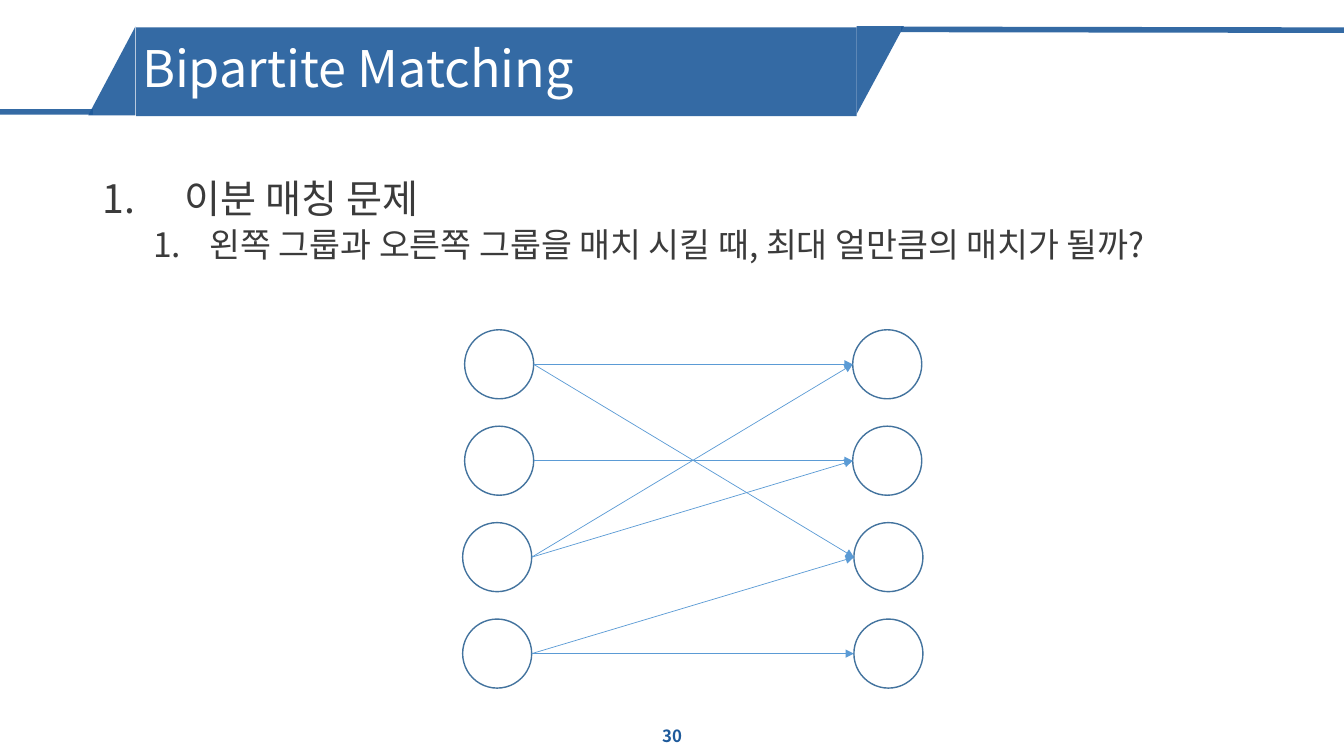
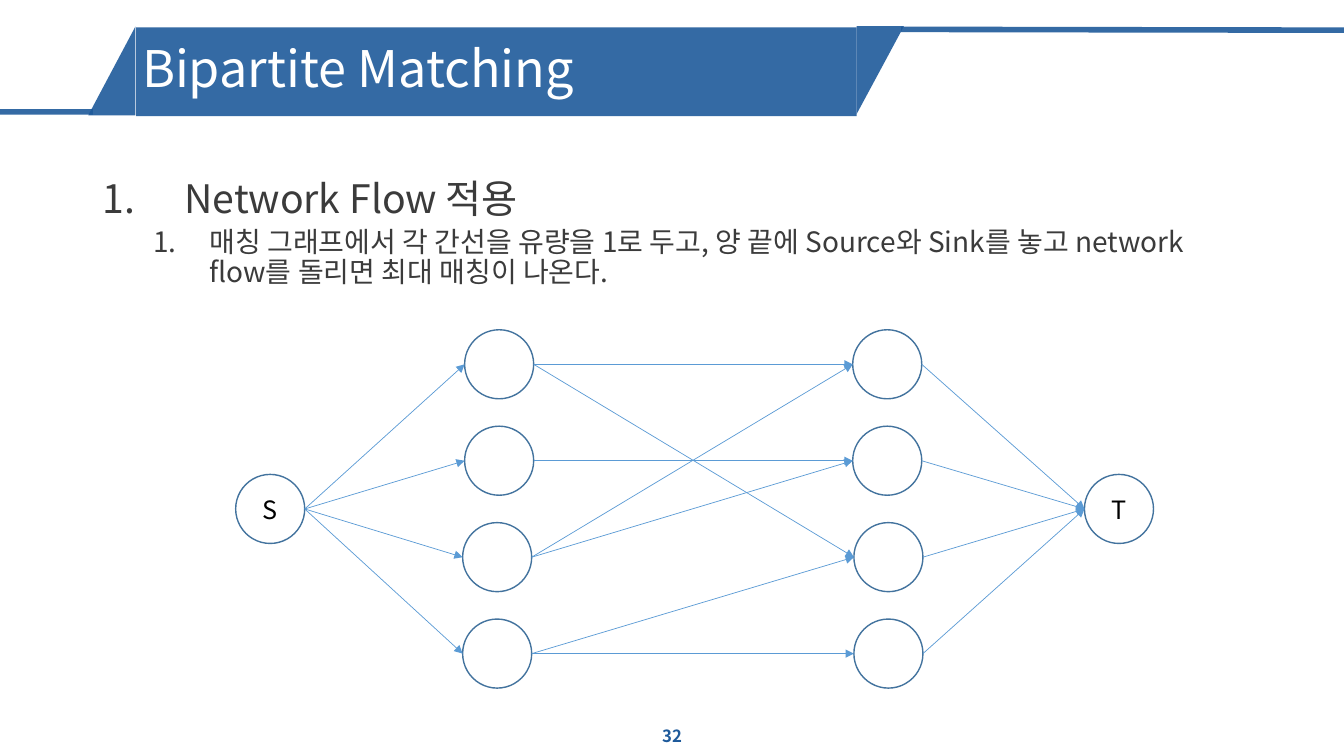
from dataclasses import dataclass

from lxml import etree
from pptx import Presentation
from pptx import util as u
from pptx.dml.color import RGBColor
from pptx.enum import shapes, text
from pptx.oxml import ns


@dataclass(frozen=True)
class Theme:
    """Colours, font and type sizes of the whole deck."""
    band: str = "1E5A9B"
    band_opacity: int = 90000
    paper: str = "FFFFFF"
    body: str = "3B3B3B"
    label: str = "000000"
    node_line: str = "43739E"
    edge: str = "5B9BD5"
    font: str = "Noto Sans CJK KR"
    title_size: int = 36
    topic_size: int = 28
    label_size: int = 18
    page_size: int = 12


THEME = Theme()
DIAMETER = 1.74
TOP_ROW, ROW_STEP = 8.31, 2.43
LEFT_COLUMN = (11.71, 11.71, 11.66, 11.66)
RIGHT_COLUMN = (21.49, 21.49, 21.52, 21.52)
SOURCE_X, SINK_X, MIDDLE_ROW = 5.94, 27.33, 1.5
MATCHES = ((0, 0), (0, 2), (1, 1), (3, 3), (3, 2), (2, 1), (2, 0))


def add_xml(parent, tag, **attributes):
    """Append a DrawingML child element."""
    return etree.SubElement(parent, ns.qn(tag), **attributes)


def make_translucent(holder):
    """Give the solid colour inside an element the band's opacity."""
    colour = next(holder.iter(ns.qn("a:srgbClr")))
    add_xml(colour, "a:alpha", val=str(THEME.band_opacity))


def style_runs(paragraph, size, colour, bold=False):
    """Format every run of a paragraph, Latin and Korean alike."""
    for run in paragraph.runs:
        run.font.size = u.Pt(size)
        run.font.bold = bold
        run.font.color.rgb = RGBColor.from_string(colour)
        run.font.name = THEME.font
        add_xml(run.font._element, "a:ea", typeface=THEME.font)


def add_line(canvas, start, end, colour, width):
    """Draw a straight line without shadow."""
    line = canvas.add_connector(shapes.MSO_CONNECTOR.STRAIGHT,
                                *(u.Cm(value) for value in (*start, *end)))
    line.line.color.rgb = RGBColor.from_string(colour)
    line.line.width = u.Pt(width)
    add_xml(line.element.spPr, "a:effectLst")
    return line


def add_band_piece(canvas, preset, box, rotation=0):
    """Draw one translucent piece of the title band."""
    piece = canvas.add_shape(preset, *map(u.Cm, box))
    piece.rotation = rotation
    piece.shadow.inherit = False
    piece.fill.solid()
    piece.fill.fore_color.rgb = RGBColor.from_string(THEME.band)
    piece.line.fill.background()
    make_translucent(piece.element.spPr)
    return piece


def add_band_rule(canvas, start, end):
    """Draw one of the rules that run from the band to the slide edge."""
    rule = add_line(canvas, start, end, THEME.band, 4)
    make_translucent(rule.element.spPr)
    return rule


def move_band_to_layout(slide):
    """Draw the title band and hand it to the layout all slides use."""
    layout, canvas = slide.slide_layout, slide.shapes
    for placeholder in list(layout.placeholders):
        layout.shapes.element.remove(placeholder.element)
    triangle = shapes.MSO_SHAPE.RIGHT_TRIANGLE
    band = (
        add_band_piece(canvas, triangle, (21.08, 1.17, 2.21, 1.19), 90),
        add_band_rule(canvas, (2.34, 2.82), (0, 2.82)),
        add_band_piece(canvas, triangle, (1.7, 1.19, 2.24, 1.19), 270),
        add_band_rule(canvas, (33.87, 0.76), (22.71, 0.74)),
        add_band_piece(canvas, shapes.MSO_SHAPE.RECTANGLE,
                       (3.43, 0.69, 18.16, 2.24)),
    )
    for piece in band:
        layout.shapes.element.append(piece.element)


def add_text_frame(slide, box, anchor):
    """Add a wrapping text box and return its frame."""
    frame = slide.shapes.add_textbox(*map(u.Cm, box)).text_frame
    frame.word_wrap = True
    frame.vertical_anchor = anchor
    return frame


def set_spacing(paragraph, before):
    """Apply the tight line spacing of titles and body text."""
    paragraph.line_spacing = 0.9
    paragraph.space_before = u.Pt(before)


def add_title(slide, title):
    """Write the title on the band."""
    frame = add_text_frame(slide, (3.33, 0.76, 18.16, 2.06),
                           text.MSO_ANCHOR.MIDDLE)
    frame.text = title
    set_spacing(frame.paragraphs[0], 10)
    style_runs(frame.paragraphs[0], THEME.title_size, THEME.paper)


def add_page_number(slide, number):
    """Write the page number at the foot."""
    frame = add_text_frame(slide, (13.13, 18.03, 7.62, 1.02),
                           text.MSO_ANCHOR.MIDDLE)
    frame.text = str(number)
    frame.paragraphs[0].alignment = text.PP_ALIGN.CENTER
    style_runs(frame.paragraphs[0], THEME.page_size, THEME.band, bold=True)


def fill_numbered(paragraph, wording, level, size):
    """Write one numbered paragraph of the outline."""
    margin, hanging, before = ((2.06, 2.06, 10), (2.69, 1.42, 5))[level]
    paragraph.text = wording
    paragraph.level = level
    set_spacing(paragraph, before)
    properties = paragraph._p.get_or_add_pPr()
    properties.set("marL", str(u.Cm(margin)))
    properties.set("indent", str(-u.Cm(hanging)))
    add_xml(properties, "a:buAutoNum", type="arabicPeriod")
    style_runs(paragraph, size, THEME.body)


def add_outline(slide, topic, detail, detail_size):
    """Write a topic and the detail below it."""
    frame = add_text_frame(slide, (2.34, 4.39, 29.06, 12.62),
                           text.MSO_ANCHOR.TOP)
    fill_numbered(frame.paragraphs[0], topic, 0, THEME.topic_size)
    fill_numbered(frame.add_paragraph(), detail, 1, detail_size)


def add_node(canvas, left, row, label=""):
    """Draw a graph node; return its entry and exit points."""
    top = TOP_ROW + row * ROW_STEP
    node = canvas.add_shape(shapes.MSO_SHAPE.OVAL, u.Cm(left), u.Cm(top),
                            u.Cm(DIAMETER), u.Cm(DIAMETER))
    node.shadow.inherit = False
    node.fill.solid()
    node.fill.fore_color.rgb = RGBColor.from_string(THEME.paper)
    node.line.color.rgb = RGBColor.from_string(THEME.node_line)
    node.line.width = u.Pt(1)
    if label:
        node.text_frame.text = label
        node.text_frame.vertical_anchor = text.MSO_ANCHOR.MIDDLE
        node.text_frame.paragraphs[0].alignment = text.PP_ALIGN.CENTER
        style_runs(node.text_frame.paragraphs[0], THEME.label_size,
                   THEME.label)
    middle = top + DIAMETER / 2
    return (left, middle), (left + DIAMETER, middle)


def add_edge(canvas, origin, target):
    """Draw an arrow from one node's exit to another's entry."""
    edge = add_line(canvas, origin[1], target[0], THEME.edge, 0.5)
    add_xml(edge.line._get_or_add_ln(), "a:tailEnd", type="triangle")


def add_matching(slide):
    """Draw the bipartite graph as a group; return both node columns."""
    canvas = slide.shapes.add_group_shape().shapes
    left_nodes, right_nodes = (
        [add_node(canvas, left, row) for row, left in enumerate(column)]
        for column in (LEFT_COLUMN, RIGHT_COLUMN))
    for origin, target in MATCHES:
        add_edge(canvas, left_nodes[origin], right_nodes[target])
    return left_nodes, right_nodes


def add_flow_ends(slide, left_nodes, right_nodes):
    """Add the source and the sink and join them to the graph."""
    source = add_node(slide.shapes, SOURCE_X, MIDDLE_ROW, "S")
    for node in left_nodes:
        add_edge(slide.shapes, source, node)
    sink = add_node(slide.shapes, SINK_X, MIDDLE_ROW, "T")
    for node in right_nodes:
        add_edge(slide.shapes, node, sink)


def add_matching_slide(deck, page, topic, detail, detail_size):
    """Add a slide with title, outline and bipartite graph."""
    slide = deck.slides.add_slide(deck.slide_layouts[6])
    add_page_number(slide, page)
    add_title(slide, "Bipartite Matching")
    add_outline(slide, topic, detail, detail_size)
    return slide, add_matching(slide)


def main():
    """Build and save the deck."""
    deck = Presentation()
    deck.slide_width, deck.slide_height = u.Cm(33.87), u.Cm(19.05)
    problem, _ = add_matching_slide(
        deck, 30, "이분 매칭 문제",
        "왼쪽 그룹과 오른쪽 그룹을 매치 시킬 때, 최대 얼만큼의 매치가 될까?", 24)
    move_band_to_layout(problem)
    flow, columns = add_matching_slide(
        deck, 32, "Network Flow 적용",
        "매칭 그래프에서 각 간선을 유량을 1로 두고, 양 끝에 Source와 Sink를 놓고 "
        "network flow를 돌리면 최대 매칭이 나온다.", 20)
    add_flow_ends(flow, *columns)
    deck.save("out.pptx")


main()
